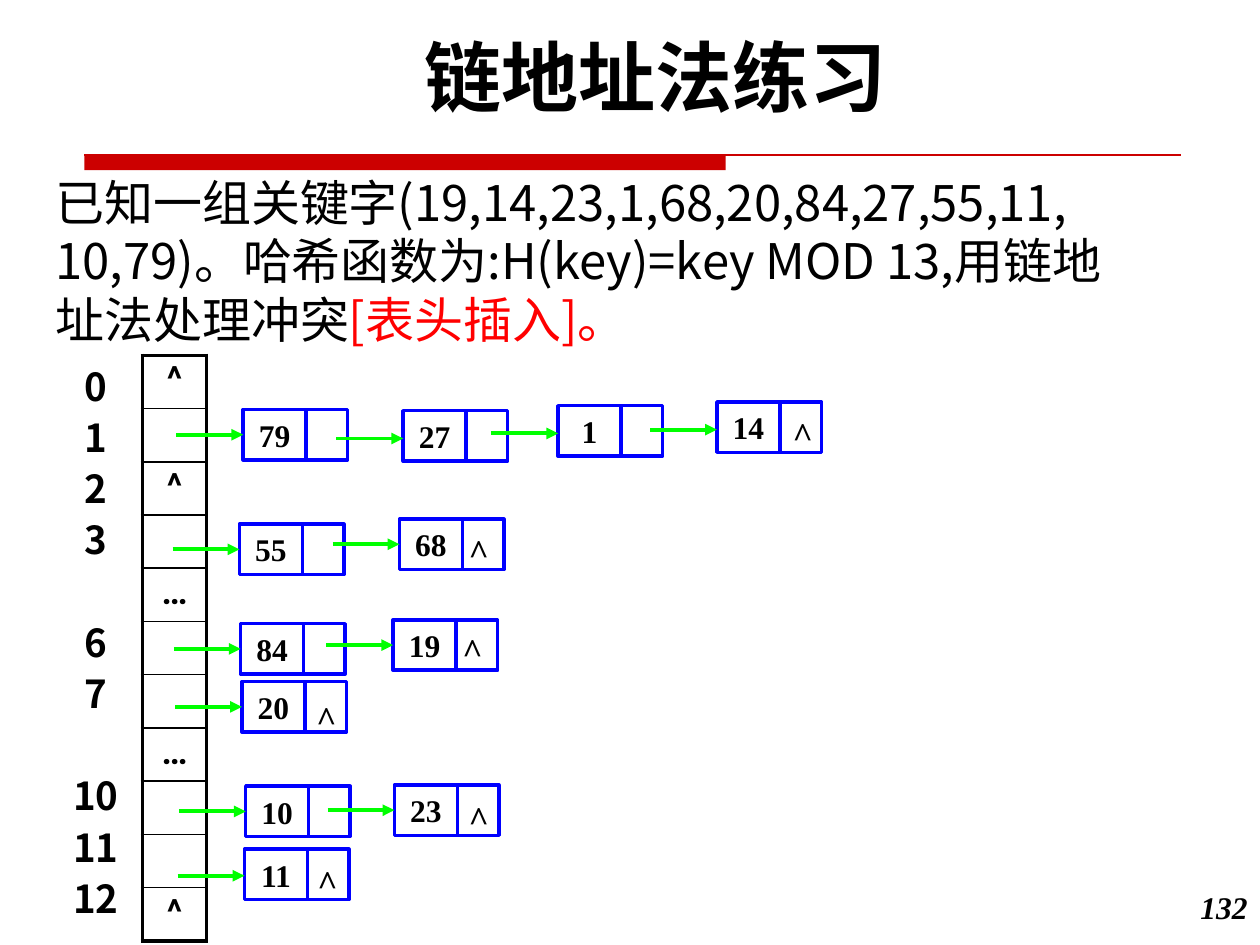
import pptx
import pptx.util
import pptx.dml.color
import pptx.enum.shapes
import pptx.enum.text
import pptx.oxml
import pptx.oxml.ns
import lxml.etree

Inches = pptx.util.Inches
Pt = pptx.util.Pt
CENTER = pptx.enum.text.PP_ALIGN.CENTER
MIDDLE = pptx.enum.text.MSO_ANCHOR.MIDDLE
RECTANGLE = pptx.enum.shapes.MSO_SHAPE.RECTANGLE
STRAIGHT = pptx.enum.shapes.MSO_CONNECTOR.STRAIGHT
SERIF = "Times New Roman"
CJK = "Noto Sans CJK SC"
qn = pptx.oxml.ns.qn


def color(value):
    return pptx.dml.color.RGBColor.from_string(value)


def add_run(paragraph, text, size, font, bold=True, value="000000"):
    run = paragraph.add_run()
    run.text = text
    run.font.size = Pt(size)
    run.font.name = font
    run.font.bold = bold
    run.font.color.rgb = color(value)
    east_asian = lxml.etree.SubElement(run.font._element, qn("a:ea"))
    east_asian.set("typeface", CJK)
    return run


presentation = pptx.Presentation()
presentation.slide_width = Inches(10)
presentation.slide_height = Inches(7.5)
slide = presentation.slides.add_slide(presentation.slide_layouts[6])
shapes = slide.shapes

# Title rule: thick bar with a thin line running on
bar = shapes.add_shape(RECTANGLE, Inches(0.67), Inches(1.23), Inches(5.09), Inches(0.12))
bar.shadow.inherit = False
bar.fill.solid()
bar.fill.fore_color.rgb = color("CC0000")
bar.line.fill.background()
rule = shapes.add_connector(STRAIGHT, Inches(0.67), Inches(1.23), Inches(9.37), Inches(1.23))
rule.line.color.rgb = color("CC0000")
rule.line.width = Pt(0.75)
lxml.etree.SubElement(rule._element.spPr, qn("a:effectLst"))

# Page number
page_box = shapes.add_textbox(Inches(9.08), Inches(7), Inches(0.92), Inches(0.5))
page_box.text_frame.word_wrap = True
paragraph = page_box.text_frame.paragraphs[0]
paragraph.alignment = pptx.enum.text.PP_ALIGN.RIGHT
add_run(paragraph, "132", 18, SERIF).font.italic = True

# Title
title_box = shapes.add_textbox(Inches(0.58), Inches(0.18), Inches(9.25), Inches(0.84))
title_box.text_frame.word_wrap = True
title_box.text_frame.vertical_anchor = MIDDLE
paragraph = title_box.text_frame.paragraphs[0]
paragraph.alignment = CENTER
add_run(paragraph, "链地址法练习", 44, "Roboto")

# Exercise statement
statement = [
    [("已知一组关键字(19,14,23,1,68,20,84,27,55,11,", "000000")],
    [("10,79)。哈希函数为:H(key)=key MOD 13,用链地", "000000")],
    [("址法处理冲突", "000000"), ("[表头插入]。", "FF0000")],
]
body_box = shapes.add_textbox(Inches(0.18), Inches(1.32), Inches(9.72), Inches(1.59))
body_frame = body_box.text_frame
body_frame.word_wrap = True
body_frame.margin_left = Inches(0.26)
for index, parts in enumerate(statement):
    paragraph = body_frame.add_paragraph() if index else body_frame.paragraphs[0]
    paragraph.line_spacing = Pt(33.5)
    for text, value in parts:
        add_run(paragraph, text, 28, CJK, False, value)

# Head table: one bucket per row
buckets = ["^", "", "^", "", "…", "", "", "…", "", "", "^"]
table_frame = shapes.add_table(len(buckets), 1, Inches(1.13), Inches(2.82), Inches(0.51), Inches(4.65))
table = table_frame.table
table.first_row = False
table.horz_banding = False
for index, text in enumerate(buckets):
    table.rows[index].height = Inches(4.65 / len(buckets))
    cell = table.cell(index, 0)
    cell.margin_top = cell.margin_bottom = 0
    if text:
        paragraph = cell.text_frame.paragraphs[0]
        paragraph.alignment = CENTER
        paragraph.line_spacing = 1.1
        add_run(paragraph, text, 20, "Roboto")
    properties = cell._tc.get_or_add_tcPr()
    top_width = 2.25 if index == 0 else 1
    bottom_width = 2.25 if index == len(buckets) - 1 else 1
    for side, width in (("L", 2.25), ("R", 2.25), ("T", top_width), ("B", bottom_width)):
        border = lxml.etree.SubElement(properties, qn("a:ln" + side), w=str(Pt(width)))
        fill = lxml.etree.SubElement(border, qn("a:solidFill"))
        lxml.etree.SubElement(fill, qn("a:srgbClr"), val="000000")
    cell.fill.background()

# Bucket numbers, with one line left free where numbers are skipped
label_box = shapes.add_textbox(Inches(0.42), Inches(2.79), Inches(0.68), Inches(4.65))
label_frame = label_box.text_frame
label_frame.word_wrap = True
previous = None
for number in (0, 1, 2, 3, 6, 7, 10, 11, 12):
    paragraph = label_frame.paragraphs[0] if previous is None else label_frame.add_paragraph()
    paragraph.alignment = CENTER
    paragraph.line_spacing = Pt(29.25)
    if previous is not None and number - previous > 1:
        paragraph.space_before = Pt(29.25)
    add_run(paragraph, str(number), 22, CJK)
    previous = number

# Chain nodes: key, left, top, arrow drop, caret offset for the last node of a chain
nodes = [
    ("79", 1.93, 3.25, 0.2, None),
    ("27", 3.2, 3.26, 0.22, None),
    ("1", 4.43, 3.22, 0.22, None),
    ("14", 5.69, 3.19, 0.22, (0.6, 0.08)),
    ("55", 1.9, 4.16, 0.2, None),
    ("68", 3.17, 4.12, 0.2, (0.55, 0.08)),
    ("84", 1.91, 4.95, 0.2, None),
    ("19", 3.12, 4.92, 0.2, (0.55, 0.07)),
    ("20", 1.92, 5.41, 0.2, (0.59, 0.12)),
    ("10", 1.95, 6.24, 0.2, None),
    ("23", 3.13, 6.23, 0.2, (0.59, 0.09)),
    ("11", 1.94, 6.74, 0.21, (0.58, 0.09)),
]
for key, left, top, drop, caret in nodes:
    for text, offset, width in ((key, 0, 0.5), ("", 0.5, 0.33)):
        field = shapes.add_shape(RECTANGLE, Inches(left + offset), Inches(top), Inches(width), Inches(0.4))
        field.shadow.inherit = False
        field.fill.background()
        field.line.color.rgb = color("0000FF")
        field.line.width = Pt(2)
        if text:
            field.text_frame.word_wrap = False
            field.text_frame.vertical_anchor = MIDDLE
            paragraph = field.text_frame.paragraphs[0]
            paragraph.alignment = CENTER
            add_run(paragraph, text, 18, SERIF)

    arrow_y = Inches(top + drop)
    arrow = shapes.add_connector(STRAIGHT, Inches(left - 0.53), arrow_y, Inches(left), arrow_y)
    arrow.line.color.rgb = color("00FF00")
    arrow.line.width = Pt(2.25)
    lxml.etree.SubElement(arrow.line._get_or_add_ln(), qn("a:tailEnd"), type="triangle")
    lxml.etree.SubElement(arrow._element.spPr, qn("a:effectLst"))

    if caret:
        caret_box = shapes.add_textbox(
            Inches(left + caret[0]), Inches(top + caret[1]), Inches(0.33), Inches(0.34))
        frame = caret_box.text_frame
        frame.word_wrap = True
        frame.margin_left = frame.margin_right = frame.margin_top = frame.margin_bottom = 0
        run = add_run(frame.paragraphs[0], "^", 20, SERIF)
        run.font.italic = key == "20"

presentation.save("out.pptx")
